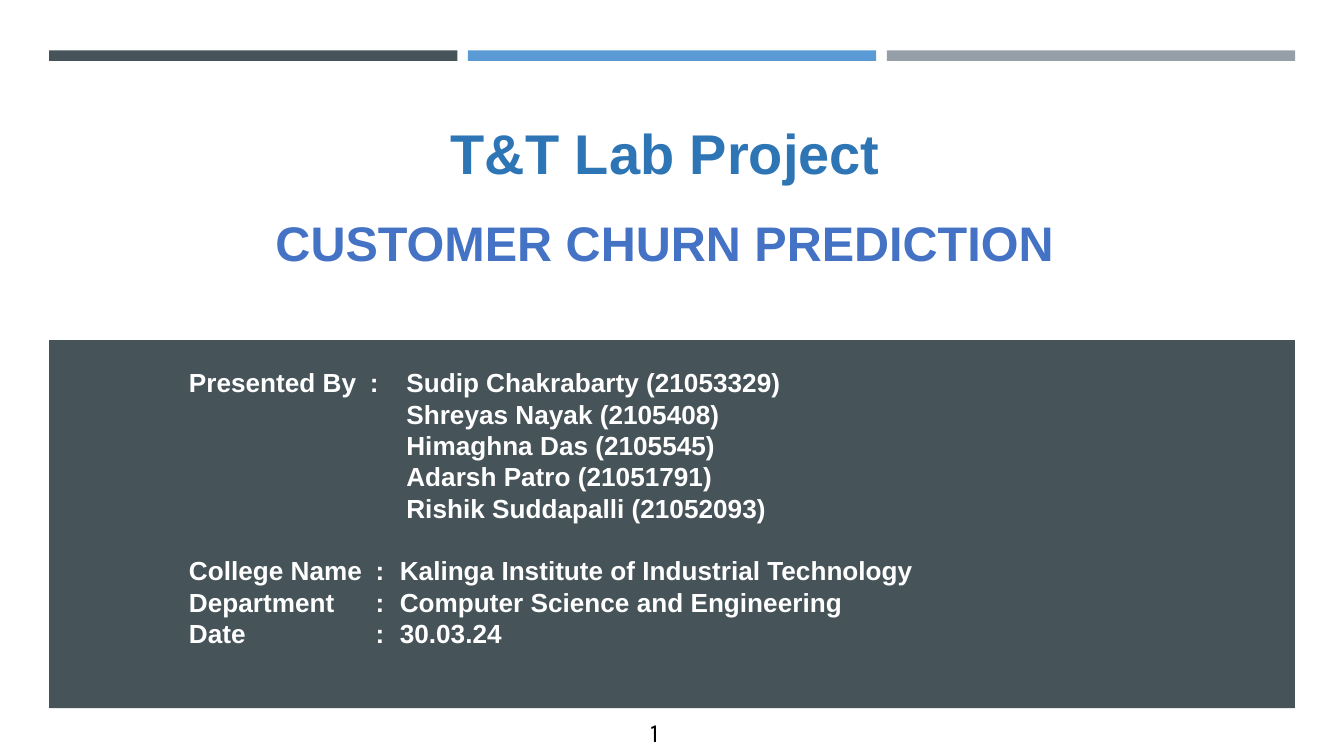
"""Build the title slide of a customer churn prediction project."""
from lxml import etree
from pptx import Presentation
from pptx.dml.color import RGBColor
from pptx.enum import shapes, text
from pptx.oxml import ns
from pptx.util import Pt

SLATE = RGBColor(0x46, 0x53, 0x59)
SKY = RGBColor(0x5B, 0x9B, 0xD5)
GRAY = RGBColor(0x96, 0x9F, 0xA7)
ROYAL = RGBColor(0x44, 0x72, 0xC4)
BLUE = RGBColor(0x2E, 0x75, 0xB5)
WHITE = RGBColor(0xFF, 0xFF, 0xFF)
BLACK = RGBColor(0, 0, 0)

presentation = Presentation()
presentation.slide_width, presentation.slide_height = Pt(720), Pt(405)
slide = presentation.slides.add_slide(presentation.slide_layouts[6])


def add_rectangle(left, top, width, height, color):
    shape = slide.shapes.add_shape(
        shapes.MSO_SHAPE.RECTANGLE, Pt(left), Pt(top), Pt(width), Pt(height))
    shape.shadow.inherit = False
    shape.fill.solid()
    shape.fill.fore_color.rgb = color
    shape.line.fill.background()
    return shape


def write_lines(shape, lines, size, color, bold=True, font="Arial",
                align=text.PP_ALIGN.CENTER, anchor=text.MSO_ANCHOR.TOP):
    frame = shape.text_frame
    frame.word_wrap = True
    frame.vertical_anchor = anchor
    frame.margin_left = frame.margin_right = Pt(5.4)
    frame.margin_top = frame.margin_bottom = Pt(2.7)
    frame.text = "\n".join(lines)
    for paragraph in frame.paragraphs:
        paragraph.alignment = align
        for run in paragraph.runs:
            run.font.name = font
            run.font.size = Pt(size)
            run.font.bold = bold
            run.font.color.rgb = color
    return frame.paragraphs


for index, color in enumerate([SLATE, SKY, GRAY]):
    add_rectangle(26.3 + index * 224.4, 27, 218.7, 5.6, color)
add_rectangle(26.3, 182.2, 667.4, 197.2, SLATE)

title = slide.shapes.add_textbox(Pt(86.4), Pt(90.4), Pt(540), Pt(57.6))
write_lines(title, ["CUSTOMER CHURN PREDICTION"], 26, ROYAL,
            anchor=text.MSO_ANCHOR.BOTTOM)
heading = slide.shapes.add_textbox(Pt(-19.4), Pt(60.8), Pt(751.7), Pt(41.8))
write_lines(heading, ["T&T Lab Project"], 30, BLUE)

presenters = [
    "Presented By\t:\tSudip Chakrabarty (21053329)",
    "Shreyas Nayak (2105408)",
    "Himaghna Das (2105545)",
    "Adarsh Patro (21051791)",
    "Rishik Suddapalli (21052093)",
]
facts = [
    "College Name\t:\tKalinga Institute of Industrial Technology",
    "Department\t:\tComputer Science and Engineering",
    "Date\t:\t30.03.24",
]
details = slide.shapes.add_textbox(Pt(95.8), Pt(193.7), Pt(559.4), Pt(154))
paragraphs = write_lines(details, presenters + facts, 14, WHITE,
                         align=text.PP_ALIGN.LEFT)
for index, paragraph in enumerate(paragraphs):
    is_presenter = index < len(presenters)
    colon, value = (97, 116.5) if is_presenter else (100, 113)
    paragraph.space_before = Pt(16.8 if index == len(presenters) else 0)
    properties = paragraph._p.get_or_add_pPr()
    if "\t" in paragraph.text:
        tabs = etree.SubElement(properties, ns.qn("a:tabLst"))
        for position in (colon, value):
            etree.SubElement(tabs, ns.qn("a:tab"), pos=str(Pt(position)), algn="l")
    else:
        properties.set("marL", str(Pt(value)))

page_number = add_rectangle(306.7, 380.2, 87.8, 23.8, WHITE)
write_lines(page_number, ["1"], 14, BLACK, bold=False, font="Karla",
            anchor=text.MSO_ANCHOR.MIDDLE)

presentation.save("out.pptx")
